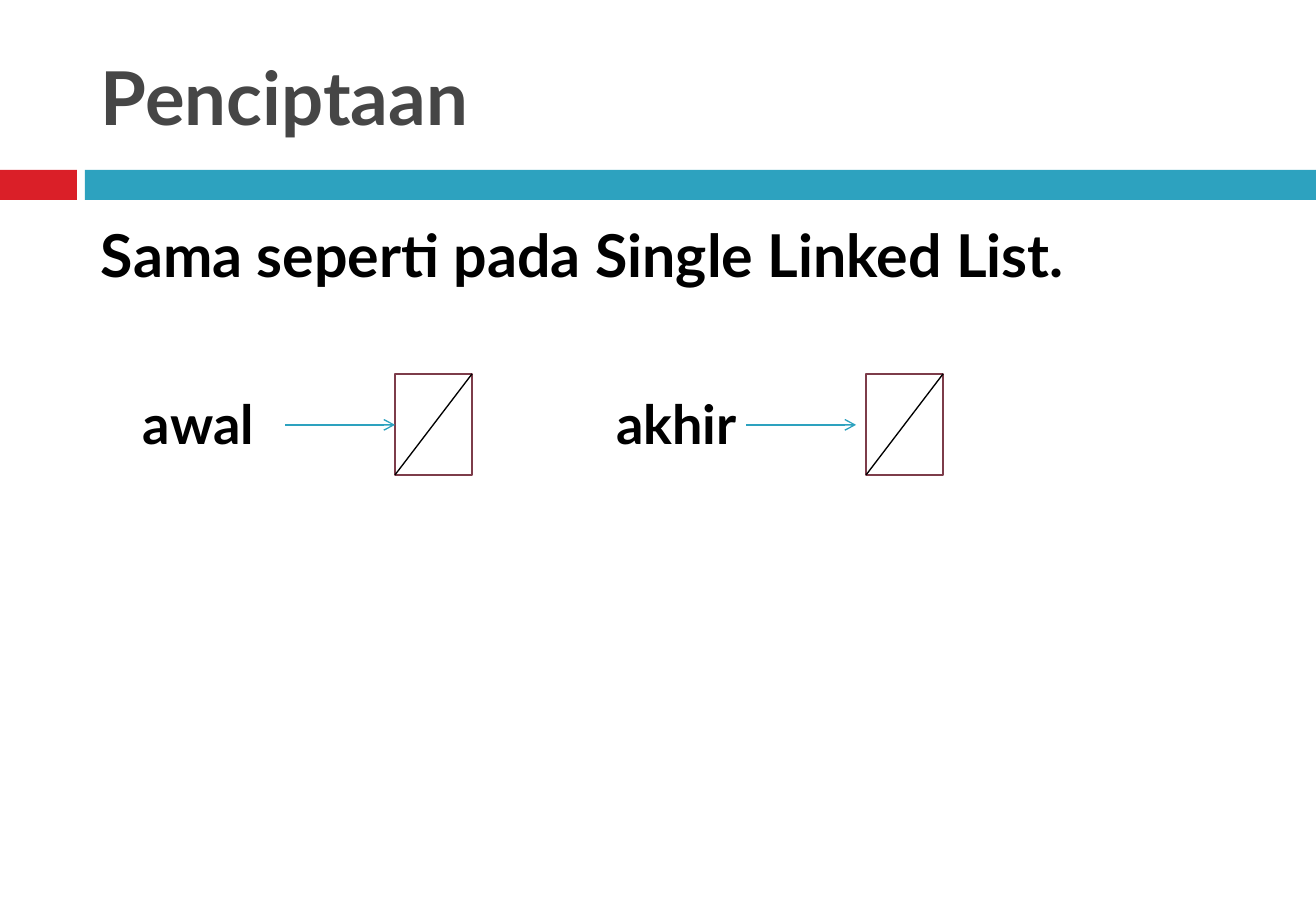
from lxml import etree
from pptx import Presentation, util as u
from pptx.dml.color import RGBColor
from pptx.enum import shapes, text
from pptx.oxml.ns import qn

SCALE = 914400 / 121.5


def px(*lengths):
    return [u.Emu(round(length * SCALE)) for length in lengths]


def rgb(value):
    return RGBColor.from_string(value)


deck = Presentation()
deck.slide_width, deck.slide_height = u.Inches(10.83), u.Inches(7.5)
slide = deck.slides.add_slide(deck.slide_layouts[6])

rectangles = [
    (0, 170, 77, 30, "DA1F28", None),
    (85, 170, 1231, 30, "2DA2BF", None),
]
writings = [
    ("Penciptaan", 89, 30, 1174, 131, 44, "464646", text.MSO_ANCHOR.MIDDLE, 0),
    ("Sama seperti pada Single Linked List.", 89, 213, 1174, 598, 35, "000000", text.MSO_ANCHOR.TOP, 7),
]
lines = []
for pointer, label_left, arrow_left, node_left in [("awal", 131, 285, 395), ("akhir", 604, 746, 866)]:
    rectangles.append((node_left, 374, 77, 101, "FFFFFF", "7D3C4A"))
    writings.append((pointer, label_left, 385, 153, 78, 32, "000000", text.MSO_ANCHOR.TOP, 0))
    lines.append((node_left + 77, 374, node_left, 475, "000000", False))
    lines.append((arrow_left, 425, arrow_left + 110, 425, "2DA2BF", True))

for left, top, width, height, fill, border in rectangles:
    box = slide.shapes.add_shape(shapes.MSO_SHAPE.RECTANGLE, *px(left, top, width, height))
    box.shadow.inherit = False
    box.fill.solid()
    box.fill.fore_color.rgb = rgb(fill)
    if border:
        box.line.color.rgb = rgb(border)
        box.line.width = u.Pt(1.5)
    else:
        box.line.fill.background()

for wording, left, top, width, height, size, color, anchor, space in writings:
    frame = slide.shapes.add_textbox(*px(left, top, width, height)).text_frame
    frame.word_wrap = True
    frame.vertical_anchor = anchor
    paragraph = frame.paragraphs[0]
    paragraph.space_before = u.Pt(space)
    run = paragraph.add_run()
    run.text = wording
    for name, value in {"name": "Lato", "size": u.Pt(size), "bold": True}.items():
        setattr(run.font, name, value)
    run.font.color.rgb = rgb(color)

for x1, y1, x2, y2, color, pointed in lines:
    link = slide.shapes.add_connector(shapes.MSO_CONNECTOR.STRAIGHT, *px(x1, y1, x2, y2))
    link.line.color.rgb = rgb(color)
    link.line.width = u.Pt(0.79)
    if pointed:
        etree.SubElement(link.line._get_or_add_ln(), qn("a:tailEnd"), type="arrow")
    etree.SubElement(link._element.spPr, qn("a:effectLst"))

deck.save("out.pptx")
